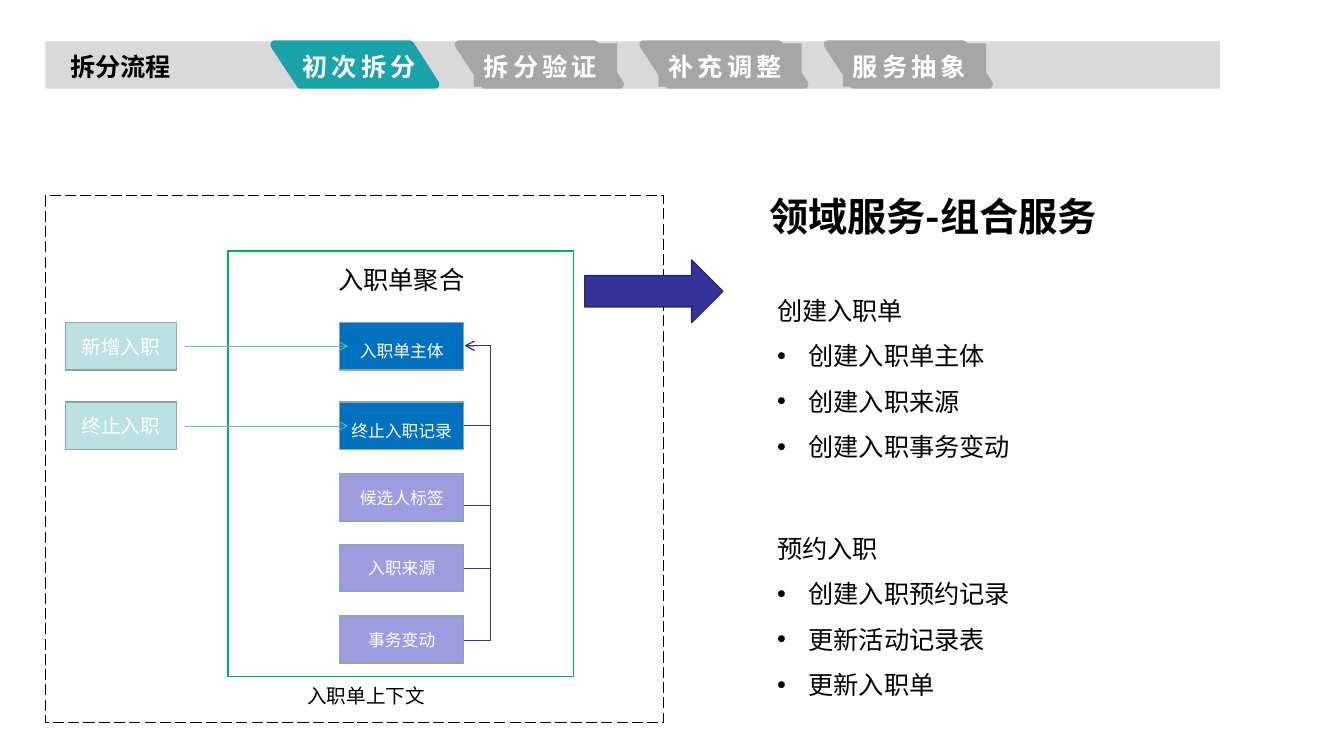
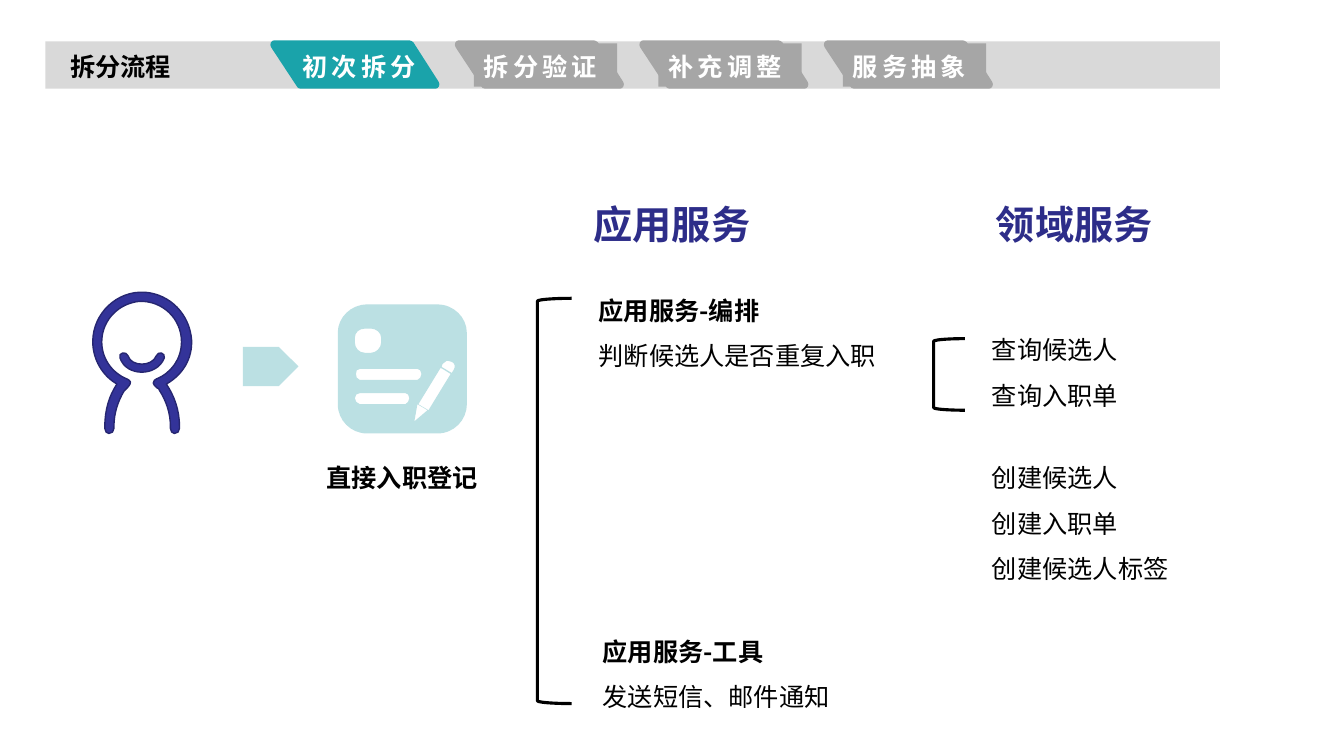
from lxml.etree import SubElement
from pptx import Presentation
from pptx.dml.color import RGBColor
from pptx.enum.dml import MSO_LINE
from pptx.enum.shapes import MSO_CONNECTOR, MSO_SHAPE
from pptx.enum.text import MSO_ANCHOR, PP_ALIGN
from pptx.oxml.ns import qn
from pptx.util import Inches, Pt

FONT = "Noto Sans CJK SC"
BLACK = RGBColor(0x00, 0x00, 0x00)
WHITE = RGBColor(0xFF, 0xFF, 0xFF)
BAND_GREY = RGBColor(0xD9, 0xD9, 0xD9)
TAB_GREY = RGBColor(0xA6, 0xA6, 0xA6)
TEAL = RGBColor(0x1A, 0xA3, 0xAA)
PALE_TEAL = RGBColor(0xBB, 0xE0, 0xE3)
TEAL_LINE = RGBColor(0x72, 0xBF, 0xC5)
BOX_LINE = RGBColor(0x8A, 0xA6, 0xA8)
GREEN = RGBColor(0x00, 0xB0, 0x50)
BLUE = RGBColor(0x00, 0x70, 0xC0)
LILAC = RGBColor(0x9C, 0x9C, 0xDF)
INDIGO = RGBColor(0x33, 0x33, 0x99)
DARK_INDIGO = RGBColor(0x26, 0x26, 0x71)
HEADING = RGBColor(0x2D, 0x2D, 0x89)

STEPS = ["初次拆分", "拆分验证", "补充调整", "服务抽象"]
STEP_PITCH = 1.83

# Outlines: a pair is a line to a point, six numbers are a Bézier curve.
TAB_OUTLINE = [
    (0.27, 0.45), (0.02, 0.07), (0, 0.04, 0.02, 0, 0.05, 0),
    (1.39, 0), (1.4, 0, 1.42, 0.01, 1.43, 0.02),
    (1.68, 0.41), (1.7, 0.44, 1.68, 0.48, 1.65, 0.48),
    (0.31, 0.48), (0.29, 0.48, 0.28, 0.47, 0.27, 0.45),
]
PERSON = [
    [(0.73, 0.93), (0.89, 0.84, 0.99, 0.68, 0.98, 0.49),
     (0.96, 0.24, 0.77, 0.04, 0.52, 0.02), (0.24, 0, 0, 0.23, 0, 0.51),
     (0, 0.69, 0.1, 0.85, 0.24, 0.93), (0.16, 1.05, 0.12, 1.19, 0.12, 1.35),
     (0.12, 1.37), (0.12, 1.4, 0.14, 1.42, 0.16, 1.42),
     (0.19, 1.42, 0.21, 1.4, 0.21, 1.37), (0.21, 1.35),
     (0.21, 1.22, 0.25, 1.1, 0.31, 1), (0.32, 0.98, 0.33, 0.98, 0.34, 0.97),
     (0.35, 0.96, 0.36, 0.95, 0.37, 0.93), (0.39, 0.9, 0.34, 0.88, 0.34, 0.88),
     (0.19, 0.82, 0.08, 0.67, 0.09, 0.49), (0.1, 0.29, 0.26, 0.13, 0.46, 0.11),
     (0.69, 0.1, 0.88, 0.28, 0.88, 0.51), (0.88, 0.68, 0.78, 0.82, 0.63, 0.88),
     (0.62, 0.88, 0.6, 0.9, 0.6, 0.92), (0.6, 0.94, 0.62, 0.95, 0.64, 0.97),
     (0.65, 0.97, 0.66, 0.98, 0.66, 0.99), (0.73, 1.1, 0.77, 1.22, 0.77, 1.35),
     (0.77, 1.37), (0.77, 1.4, 0.79, 1.42, 0.81, 1.42),
     (0.84, 1.42, 0.86, 1.4, 0.86, 1.37), (0.86, 1.35),
     (0.86, 1.19, 0.81, 1.05, 0.73, 0.93)],
    [(0.27, 0.67), (0.33, 0.86, 0.64, 0.86, 0.71, 0.67),
     (0.72, 0.62, 0.65, 0.6, 0.63, 0.65), (0.59, 0.76, 0.38, 0.76, 0.35, 0.65),
     (0.33, 0.6, 0.25, 0.62, 0.27, 0.67)],
]
FORM_ICON = [
    [(0.76, 1.16), (0.89, 1.05), (0.79, 0.99)],
    [(0.8, 0.99), (0.9, 1.05), (1.04, 0.82), (1.12, 0.69), (1.04, 0.64), (1.02, 0.63)],
    [(1.08, 0.56), (1.07, 0.57, 1.05, 0.58, 1.04, 0.59), (1.03, 0.62), (1.13, 0.68),
     (1.15, 0.65), (1.17, 0.62, 1.16, 0.58, 1.13, 0.57),
     (1.11, 0.56, 1.09, 0.56, 1.07, 0.56)],
    [(0.27, 0.24), (0.21, 0.24, 0.17, 0.28, 0.17, 0.33), (0.17, 0.38),
     (0.17, 0.43, 0.21, 0.48, 0.27, 0.48), (0.33, 0.48),
     (0.38, 0.48, 0.43, 0.43, 0.43, 0.38), (0.43, 0.33),
     (0.43, 0.28, 0.38, 0.24, 0.33, 0.24)],
    [(0.67, 0.88), (0.22, 0.88), (0.19, 0.88, 0.17, 0.9, 0.17, 0.93),
     (0.17, 0.96, 0.19, 0.98, 0.22, 0.99), (0.67, 0.99),
     (0.69, 0.98, 0.71, 0.96, 0.71, 0.93), (0.71, 0.9, 0.69, 0.88, 0.67, 0.88)],
    [(0.79, 0.64), (0.22, 0.64), (0.19, 0.64, 0.18, 0.66, 0.18, 0.69),
     (0.18, 0.72, 0.19, 0.74, 0.22, 0.75), (0.79, 0.75),
     (0.81, 0.74, 0.83, 0.72, 0.83, 0.69), (0.83, 0.66, 0.81, 0.64, 0.79, 0.64)],
    [(0.29, 0), (0.99, 0), (1.15, 0, 1.28, 0.13, 1.28, 0.28), (1.28, 0.99),
     (1.28, 1.15, 1.15, 1.28, 0.99, 1.28), (0.29, 1.28),
     (0.13, 1.28, 0, 1.15, 0, 0.99), (0, 0.28), (0, 0.13, 0.13, 0, 0.29, 0)],
]


def paint(shape, fill=None, line=None, width=1):
    shape.shadow.inherit = False
    if fill is None:
        shape.fill.background()
    else:
        shape.fill.solid()
        shape.fill.fore_color.rgb = fill
    if line is None:
        shape.line.fill.background()
    else:
        shape.line.color.rgb = line
        shape.line.width = Pt(width)
    return shape


def draw_outline(slide, left, top, contours, **style):
    """One freeform of closed contours; inner contours are holes."""
    def spots(step):
        return [(Inches(left + x), Inches(top + y)) for x, y in zip(step[::2], step[1::2])]

    builder = slide.shapes.build_freeform(*spots(contours[0][0])[0], scale=1.0)
    for index, contour in enumerate(contours):
        if index:
            builder.move_to(*spots(contour[0])[0])
        builder.add_line_segments([spot for step in contour[1:] for spot in spots(step)],
                                  close=True)
    shape = builder.convert_to_shape()
    # Each curve was laid as three lines; join their points into one Bézier.
    segments = iter(list(shape._element.iter(qn("a:lnTo"))))
    for step in (step for contour in contours for step in contour[1:]):
        segment = next(segments)
        if len(step) == 6:
            segment.tag = qn("a:cubicBezTo")
            for _ in range(2):
                control = next(segments)
                segment.append(control[0])
                control.getparent().remove(control)
    return paint(shape, **style)


def add_preset(slide, preset, box, **style):
    return paint(slide.shapes.add_shape(preset, *map(Inches, box)), **style)


def write(shape, lines, size=18, color=BLACK, bold=False, lead_bold=False,
          align=PP_ALIGN.LEFT, anchor=MSO_ANCHOR.TOP, spacing=None,
          tracking=None, bulleted=False):
    """Fill a shape; lead_bold marks the first line, bulleted the lines after it."""
    frame = shape.text_frame
    frame.word_wrap = True
    frame.vertical_anchor = anchor
    for index, words in enumerate(lines):
        paragraph = frame.paragraphs[0] if index == 0 else frame.add_paragraph()
        paragraph.alignment = align
        if spacing:
            paragraph.line_spacing = spacing
        if bulleted and index:
            add_bullet(paragraph)
        run = paragraph.add_run()
        run.text = words
        run.font.size = Pt(size)
        run.font.bold = bold or (lead_bold and index == 0)
        run.font.color.rgb = color
        run.font.name = FONT
        properties = run.font._element
        SubElement(properties, qn("a:ea")).set("typeface", FONT)
        if tracking:
            properties.set("spc", str(tracking * 100))


def add_bullet(paragraph, indent=0.31):
    properties = paragraph._p.get_or_add_pPr()
    properties.set("marL", str(Inches(indent)))
    properties.set("indent", str(-Inches(indent)))
    SubElement(properties, qn("a:buFont")).set("typeface", "Arial")
    SubElement(properties, qn("a:buChar")).set("char", "•")


def add_text(slide, box, *lines, **style):
    write(slide.shapes.add_textbox(*map(Inches, box)), lines, **style)


def add_arrow(slide, kind, start, end, color, bend=None):
    """Thin open arrow; bend is the elbow's place as a multiple of its width."""
    arrow = slide.shapes.add_connector(kind, *map(Inches, start + end))
    arrow.line.color.rgb = color
    arrow.line.width = Pt(0.5)
    SubElement(arrow.line._get_or_add_ln(), qn("a:tailEnd")).set("type", "arrow")
    properties = arrow._element.spPr
    SubElement(properties, qn("a:effectLst"))
    if bend is not None:
        guides = properties.find(qn("a:prstGeom")).get_or_add_avLst()
        guide = SubElement(guides, qn("a:gd"))
        guide.set("name", "adj1")
        guide.set("fmla", f"val {round(bend * 100000)}")


def add_step_band(slide, left=0.45, top=0.4, current=0):
    """Grey band with the process name and its steps, the current one in teal."""
    add_preset(slide, MSO_SHAPE.RECTANGLE, (left, top + 0.01, 11.65, 0.47), fill=BAND_GREY)
    for index, step in enumerate(STEPS):
        tab_left = left + 2.22 + index * STEP_PITCH
        label_style = {"color": WHITE, "bold": True, "spacing": 1.1, "tracking": 3}
        draw_outline(slide, tab_left, top, [TAB_OUTLINE],
                     fill=TEAL if index == current else TAB_GREY)
        if index == current:
            add_text(slide, (tab_left + 0.23, top + 0.03, 1.42, 0.43), step, **label_style)
        else:
            label = add_preset(slide, MSO_SHAPE.RECTANGLE,
                               (tab_left + 0.2, top + 0.03, 1.42, 0.43), fill=TAB_GREY)
            write(label, [step], **label_style)
    add_text(slide, (left + 0.15, top + 0.06, 1.54, 0.4), "拆分流程", bold=True)


def add_node(slide, box, words, fill, size=12, spacing=None):
    node = add_preset(slide, MSO_SHAPE.RECTANGLE, box, fill=fill, line=BOX_LINE)
    write(node, [words], size=size, color=WHITE, align=PP_ALIGN.CENTER,
          anchor=MSO_ANCHOR.MIDDLE, spacing=spacing)


def add_context_diagram(slide, left=0.45, top=1.94):
    """Onboarding context: commands on the left, the aggregate on the right."""
    context = add_preset(slide, MSO_SHAPE.RECTANGLE, (left, top, 6.13, 5.23),
                         fill=WHITE, line=BLACK)
    context.line.dash_style = MSO_LINE.LONG_DASH
    add_preset(slide, MSO_SHAPE.RECTANGLE, (left + 1.81, top + 0.55, 3.43, 4.22),
               fill=WHITE, line=GREEN)
    add_text(slide, (left + 2.75, top + 0.63, 1.56, 0.4), "入职单聚合",
             align=PP_ALIGN.CENTER)
    add_text(slide, (left + 2.5, top + 4.8, 1.56, 0.34), "入职单上下文", size=14)

    height, node_left, node_width = 0.47, left + 2.92, 1.23
    entities = [("入职单主体", 1.26, BLUE), ("终止入职记录", 2.05, BLUE),
                ("候选人标签", 2.76, LILAC), ("入职来源", 3.46, LILAC),
                ("事务变动", 4.17, LILAC)]
    for words, offset, fill in entities:
        add_node(slide, (node_left, top + offset, node_width, height), words, fill,
                 spacing=1.5 if fill == BLUE else None)
    for words, offset in [("新增入职", 1.26), ("终止入职", 2.05)]:
        add_node(slide, (left + 0.2, top + offset, 1.1, height), words, PALE_TEAL, size=14)
        middle = top + offset + height / 2
        add_arrow(slide, MSO_CONNECTOR.STRAIGHT, (left + 1.38, middle),
                  (left + 3, middle), TEAL_LINE)

    node_right = node_left + node_width
    for offset in (2.28, 3.07, 3.7, 4.41):
        add_arrow(slide, MSO_CONNECTOR.ELBOW, (node_right, top + offset),
                  (node_right + 0.01, top + 1.49), INDIGO, bend=27)
    add_preset(slide, MSO_SHAPE.RIGHT_ARROW, (left + 5.35, top + 0.64, 1.37, 0.62),
               fill=INDIGO, line=DARK_INDIGO)


def add_service_list(slide, left=7.61, top=1.86):
    add_text(slide, (left - 0.08, top, 4.18, 0.57), "领域服务-组合服务", size=28, bold=True)
    services = [
        (0.87, ["创建入职单", "创建入职单主体", "创建入职来源", "创建入职事务变动"]),
        (3.23, ["预约入职", "创建入职预约记录", "更新活动记录表", "更新入职单"]),
    ]
    for offset, lines in services:
        add_text(slide, (left, top + offset, 3.04, 1.92), *lines, spacing=1.5, bulleted=True)


def add_registration(slide, left=0.92, top=2.88):
    """A person hands in the direct registration form."""
    draw_outline(slide, left, top, PERSON, fill=INDIGO, line=DARK_INDIGO)
    add_preset(slide, MSO_SHAPE.PENTAGON, (left + 1.49, top + 0.56, 0.55, 0.39),
               fill=PALE_TEAL)
    draw_outline(slide, left + 2.43, top + 0.14, FORM_ICON, fill=PALE_TEAL)
    add_text(slide, (left + 2.22, top + 1.66, 1.91, 0.4), "直接入职登记", bold=True)


def add_service_column(slide, left, top, heading, bracket, groups):
    """Heading, bracket and text groups; their boxes are relative to the column."""
    add_text(slide, (left, top, 2, 0.57), heading, size=28, color=HEADING, bold=True)
    x, y, width, height = bracket
    add_preset(slide, MSO_SHAPE.LEFT_BRACKET, (left + x, top + y, width, height),
               line=BLACK, width=2.25)
    for (x, y, width, height), lines, lead_bold in groups:
        add_text(slide, (left + x, top + y, width, height), *lines,
                 spacing=1.5, lead_bold=lead_bold)


def build_domain_slide(slide):
    add_step_band(slide)
    add_context_diagram(slide)
    add_service_list(slide)


def build_application_slide(slide):
    add_step_band(slide)
    add_registration(slide)
    add_service_column(slide, 5.79, 1.94, "应用服务", (-0.46, 1.02, 0.34, 4.02), [
        ((0.05, 0.79, 3.86, 1.01), ["应用服务-编排", "判断候选人是否重复入职"], True),
        ((0.09, 4.17, 3.86, 1.01), ["应用服务-工具", "发送短信、邮件通知"], True),
    ])
    add_service_column(slide, 9.78, 1.94, "领域服务", (-0.52, 1.42, 0.31, 0.71), [
        ((-0.04, 1.18, 2.86, 1.01), ["查询候选人", "查询入职单"], False),
        ((-0.04, 2.45, 2.78, 1.46), ["创建候选人", "创建入职单", "创建候选人标签"], False),
    ])


def main():
    deck = Presentation()
    deck.slide_width, deck.slide_height = Inches(13.33), Inches(7.5)
    for build in (build_domain_slide, build_application_slide):
        build(deck.slides.add_slide(deck.slide_layouts[6]))
    deck.save("out.pptx")


if __name__ == "__main__":
    main()
